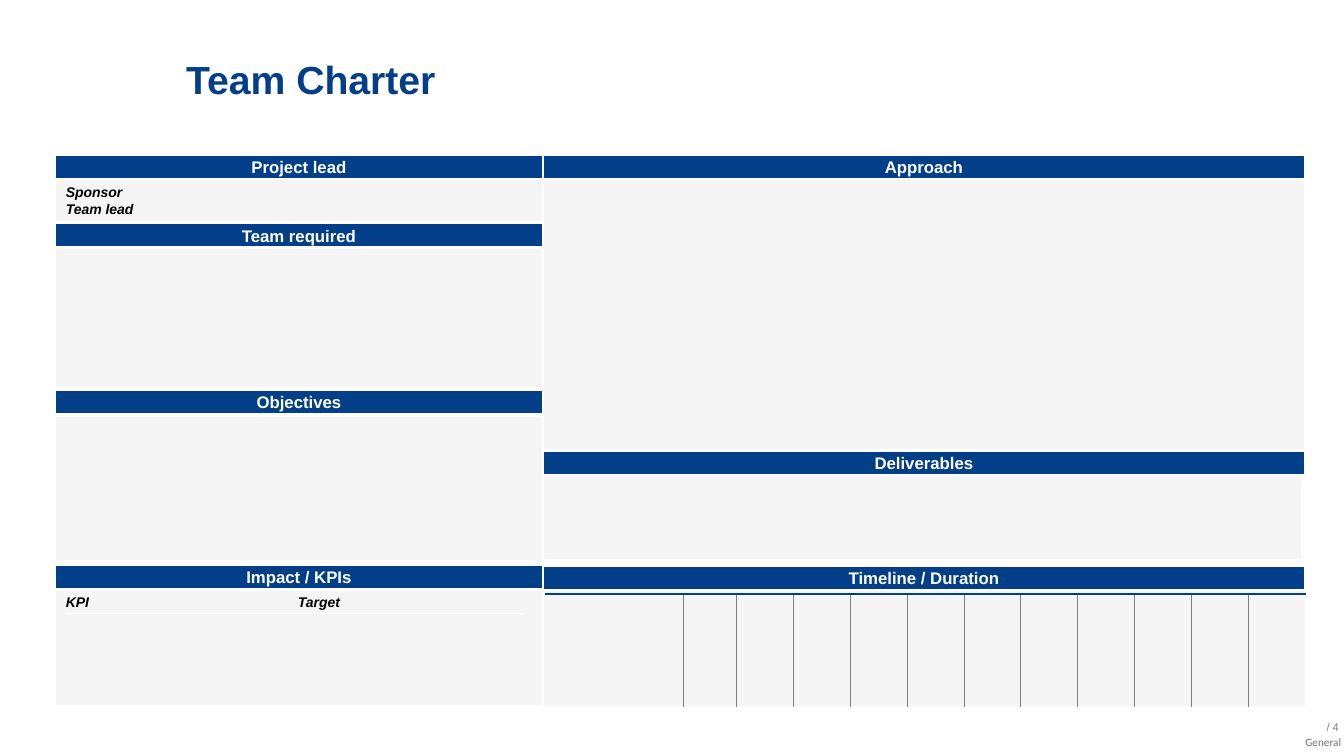
from dataclasses import dataclass

from lxml.etree import SubElement
from pptx import Presentation
from pptx.dml.color import RGBColor
from pptx.enum.shapes import MSO_CONNECTOR, MSO_SHAPE
from pptx.enum.text import MSO_ANCHOR, PP_ALIGN
from pptx.oxml.ns import qn
from pptx.util import Pt

BLUE = RGBColor(0x02, 0x3F, 0x88)
PALE = RGBColor(0xF5, 0xF5, 0xF5)
WHITE = RGBColor(0xFF, 0xFF, 0xFF)
BLACK = RGBColor(0, 0, 0)
GRAY = RGBColor(0x80, 0x80, 0x80)
DARK_GRAY = RGBColor(0x73, 0x73, 0x73)

TITLE = {"name": "Arial", "size": Pt(28), "bold": True}
HEADER = {"name": "Arial", "size": Pt(12), "bold": True}
LABEL = {"name": "Arial", "size": Pt(10), "bold": True, "italic": True}
PAGE = {"name": "Arial", "size": Pt(8)}
FOOTER = {"name": "Calibri", "size": Pt(8)}

HEADER_HEIGHT = 17.3
LEFT, LEFT_WIDTH = 39.6, 348.5
RIGHT, RIGHT_WIDTH = 388.4, 544.8
TARGET_TAB = 166


@dataclass
class Panel:
    title: str
    left: float
    width: float
    top: float
    body_top: float
    body_height: float
    body_width: float
    labels: tuple[str, ...] = ()


@dataclass
class Rule:
    x1: float
    y1: float
    x2: float
    y2: float
    color: RGBColor
    weight: float = 0.75


PANELS = [
    Panel("Project lead", LEFT, LEFT_WIDTH, 110.9, 128.2, 31, LEFT_WIDTH,
          ("Sponsor", "Team lead")),
    Panel("Team required", LEFT, LEFT_WIDTH, 159.8, 177.1, 100.8, LEFT_WIDTH),
    Panel("Objectives", LEFT, LEFT_WIDTH, 278.6, 297.4, 103.7, LEFT_WIDTH),
    Panel("Impact / KPIs", LEFT, LEFT_WIDTH, 403.9, 421.9, 82.8, LEFT_WIDTH,
          ("KPI\tTarget",)),
    Panel("Approach", RIGHT, RIGHT_WIDTH, 110.9, 128.2, 193.7, RIGHT_WIDTH),
    Panel("Deliverables", RIGHT, RIGHT_WIDTH, 322.6, 339.8, 60.5, 542.9),
    Panel("Timeline / Duration", RIGHT, RIGHT_WIDTH, 404.6, 421.9, 84.2, 545.4),
]

TIMELINE_TOP, TIMELINE_BOTTOM = 424.8, 505.4
COLUMN_XS = [488.9] + [527 + 40.64 * i for i in range(10)]
RULES = [Rule(x, TIMELINE_TOP, x, TIMELINE_BOTTOM, GRAY) for x in COLUMN_XS] + [
    Rule(389.5, TIMELINE_TOP, 933.8, TIMELINE_TOP, BLUE, 1.5),
    Rule(47.5, 438.5, 375.1, 438.5, WHITE),
]


def add_text(p, text: str, style: dict, color: RGBColor, align=PP_ALIGN.LEFT) -> None:
    p.alignment = align
    r = p.add_run()
    r.text = text
    for key, value in style.items():
        setattr(r.font, key, value)
    r.font.color.rgb = color


def set_frame(tf, anchor, left=0, top=0, right=0, bottom=0) -> None:
    tf.word_wrap = True
    tf.vertical_anchor = anchor
    tf.margin_left, tf.margin_top = Pt(left), Pt(top)
    tf.margin_right, tf.margin_bottom = Pt(right), Pt(bottom)


def add_box(s, left: float, top: float, width: float, height: float, fill: RGBColor):
    sp = s.shapes.add_shape(MSO_SHAPE.RECTANGLE, Pt(left), Pt(top), Pt(width), Pt(height))
    sp.shadow.inherit = False
    sp.fill.solid()
    sp.fill.fore_color.rgb = fill
    sp.line.color.rgb = WHITE
    sp.line.width = Pt(1.5)
    return sp


def add_panel(s, panel: Panel) -> None:
    body = add_box(s, panel.left, panel.body_top, panel.body_width, panel.body_height, PALE)
    tf = body.text_frame
    set_frame(tf, MSO_ANCHOR.TOP, left=7.5, top=2.9, bottom=2.9)
    for i, label in enumerate(panel.labels):
        p = tf.add_paragraph() if i else tf.paragraphs[0]
        if "\t" in label:
            tabs = SubElement(p._p.get_or_add_pPr(), qn("a:tabLst"))
            SubElement(tabs, qn("a:tab"), pos=str(Pt(TARGET_TAB)), algn="l")
        add_text(p, label, LABEL, BLACK)

    header = add_box(s, panel.left, panel.top, panel.width, HEADER_HEIGHT, BLUE)
    set_frame(header.text_frame, MSO_ANCHOR.MIDDLE)
    add_text(header.text_frame.paragraphs[0], panel.title, HEADER, WHITE, PP_ALIGN.CENTER)


def add_rule(s, rule: Rule) -> None:
    line = s.shapes.add_connector(
        MSO_CONNECTOR.STRAIGHT, Pt(rule.x1), Pt(rule.y1), Pt(rule.x2), Pt(rule.y2))
    line.line.color.rgb = rule.color
    line.line.width = Pt(rule.weight)
    SubElement(line._element.spPr, qn("a:effectLst"))


def add_note(s, text: str, left: float, top: float, width: float, height: float,
             style: dict, color: RGBColor, right_margin: float = 0) -> None:
    """Add a small right-aligned text at the slide's foot."""
    tf = s.shapes.add_textbox(Pt(left), Pt(top), Pt(width), Pt(height)).text_frame
    set_frame(tf, MSO_ANCHOR.MIDDLE, right=right_margin)
    add_text(tf.paragraphs[0], text, style, color, PP_ALIGN.RIGHT)


def add_title(s, text: str) -> None:
    sp = s.shapes.title
    sp.left, sp.top, sp.width, sp.height = Pt(124.6), Pt(41), Pt(782.6), Pt(36.7)
    set_frame(sp.text_frame, MSO_ANCHOR.BOTTOM, 8.6, 4.3, 8.6, 4.3)
    p = sp.text_frame.paragraphs[0]
    p.line_spacing = 0.85
    add_text(p, text, TITLE, BLUE)


def main() -> None:
    prs = Presentation()
    prs.slide_width, prs.slide_height = Pt(961.2), Pt(540)
    s = prs.slides.add_slide(prs.slide_layouts[5])
    add_title(s, "Team Charter")
    for panel in PANELS:
        add_panel(s, panel)
    for rule in RULES:
        add_rule(s, rule)
    add_note(s, "/ 4", 929.5, 514.1, 28.1, 11.5, PAGE, GRAY)
    add_note(s, "General", 916.6, 522, 44.6, 18, FOOTER, DARK_GRAY, right_margin=2)
    prs.save("out.pptx")


if __name__ == "__main__":
    main()
